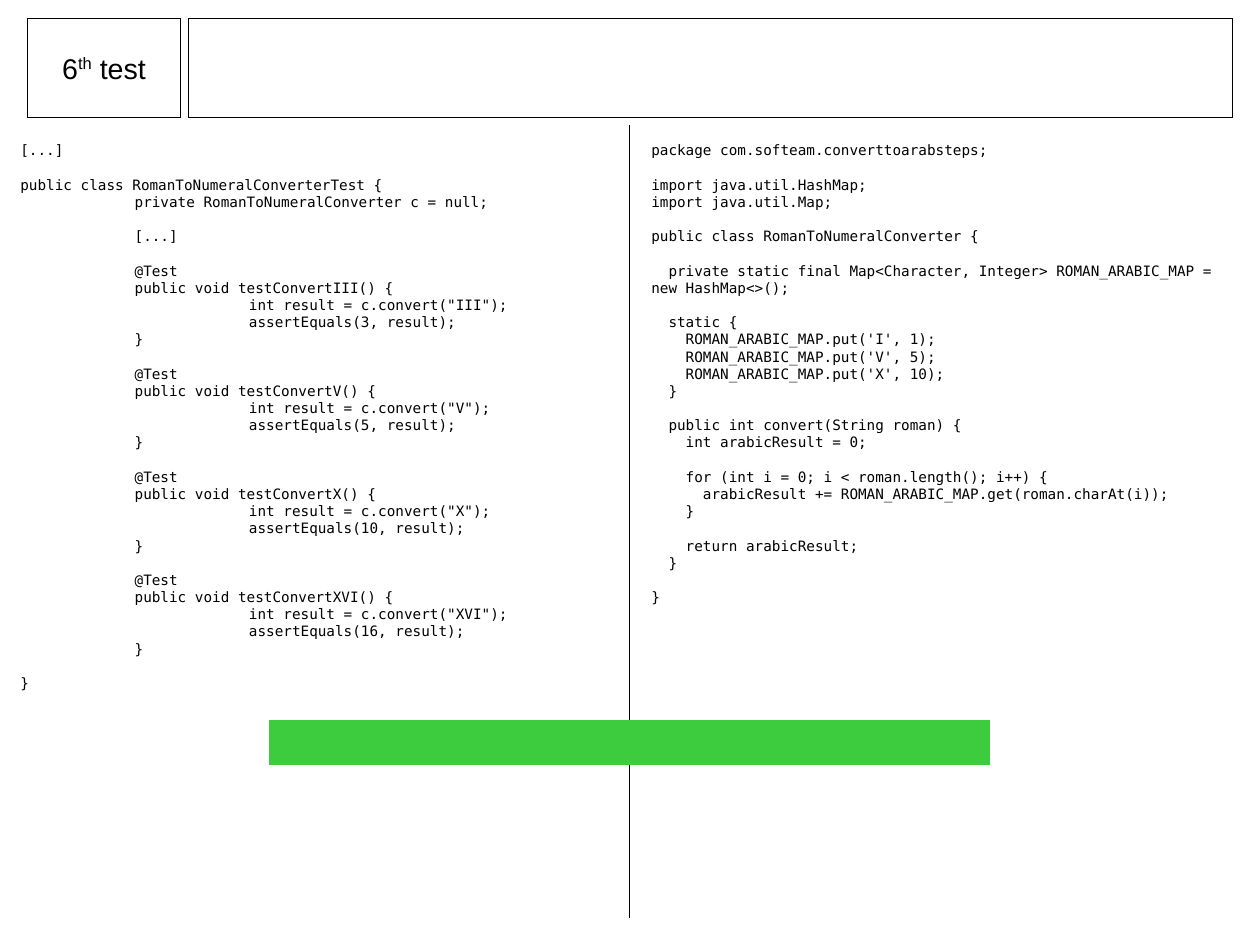
from lxml import etree
from pptx import Presentation
from pptx.dml.color import RGBColor
from pptx.enum.shapes import MSO_CONNECTOR, MSO_SHAPE
from pptx.enum.text import MSO_ANCHOR, MSO_AUTO_SIZE, PP_ALIGN
from pptx.oxml.ns import qn
from pptx.util import Inches, Pt

BLACK = RGBColor(0x00, 0x00, 0x00)
GREEN = RGBColor(0x3D, 0xCC, 0x3D)
STRAIGHT = MSO_CONNECTOR.STRAIGHT
RECTANGLE = MSO_SHAPE.RECTANGLE
MIDDLE = MSO_ANCHOR.MIDDLE
NO_AUTOFIT = MSO_AUTO_SIZE.NONE
CENTER = PP_ALIGN.CENTER
TITLE_FORMAT = {"name": "Arial", "size": Pt(18)}
CODE_FORMAT = {"name": "DejaVu Sans Mono", "size": Pt(9)}
CODE_LINE = Pt(10.8)
CM_PER_INCH = 2.54
HEADER_TOP = 0.16
HEADER_HEIGHT = 0.87

TEST_CASES = [("III", 3), ("V", 5), ("X", 10), ("XVI", 16)]
TEST_METHOD = """\t@Test
\tpublic void testConvert{numeral}() {{
\t\tint result = c.convert("{numeral}");
\t\tassertEquals({value}, result);
\t}}"""
TEST_CODE = "\n\n".join([
    "[...]",
    "public class RomanToNumeralConverterTest {\n"
    "\tprivate RomanToNumeralConverter c = null;",
    "\t[...]",
    *[TEST_METHOD.format(numeral=numeral, value=value) for numeral, value in TEST_CASES],
    "}",
])
CONVERTER_CODE = """package com.softeam.converttoarabsteps;

import java.util.HashMap;
import java.util.Map;

public class RomanToNumeralConverter {

  private static final Map<Character, Integer> ROMAN_ARABIC_MAP = new HashMap<>();

  static {
    ROMAN_ARABIC_MAP.put('I', 1);
    ROMAN_ARABIC_MAP.put('V', 5);
    ROMAN_ARABIC_MAP.put('X', 10);
  }

  public int convert(String roman) {
    int arabicResult = 0;

    for (int i = 0; i < roman.length(); i++) {
      arabicResult += ROMAN_ARABIC_MAP.get(roman.charAt(i));
    }

    return arabicResult;
  }

}"""


def add_span(para, text, format_values):
    span = para.add_run()
    span.text = text
    for name, value in format_values.items():
        setattr(span.font, name, value)
    span.font.color.rgb = BLACK
    return span


def outline(shape, color):
    shape.line.color.rgb = color
    shape._element.spPr.find(qn("a:ln")).set("w", "0")


deck = Presentation()
deck.slide_width = Inches(28 / CM_PER_INCH)
deck.slide_height = Inches(21 / CM_PER_INCH)
page = deck.slides.add_slide(deck.slide_layouts[5])

title = page.shapes.title
title.left, title.top = Inches(0.24), Inches(HEADER_TOP)
title.width, title.height = Inches(1.34), Inches(HEADER_HEIGHT)
outline(title, BLACK)
frame = title.text_frame
frame.auto_size = NO_AUTOFIT
frame.word_wrap = True
frame.vertical_anchor = MIDDLE
para = frame.paragraphs[0]
para.alignment = CENTER
add_span(para, "6", TITLE_FORMAT)
ordinal = add_span(para, "th", TITLE_FORMAT)
ordinal.font._element.set("baseline", "33000")
add_span(para, " test", TITLE_FORMAT)

divider = page.shapes.add_connector(
    STRAIGHT, Inches(5.51), Inches(1.1), Inches(5.51), Inches(8.03))
outline(divider, BLACK)
etree.SubElement(divider._element.spPr, qn("a:effectLst"))

for left, height, code in [(0.08, 6.27, TEST_CODE), (5.6, 4.21, CONVERTER_CODE)]:
    box = page.shapes.add_textbox(Inches(left), Inches(1.19), Inches(5.2), Inches(height))
    frame = box.text_frame
    frame.word_wrap = True
    para = frame.paragraphs[0]
    for block_index, block in enumerate(code.split("\n\n")):
        for line_index, line in enumerate(block.split("\n")):
            if block_index or line_index:
                para = frame.add_paragraph()
            if block_index and not line_index:
                para.space_before = CODE_LINE
            if "\t" in line:
                tabs = etree.SubElement(para._p.get_or_add_pPr(), qn("a:tabLst"))
                for stop in (1, 2):
                    etree.SubElement(tabs, qn("a:tab"), pos=str(Inches(stop)), algn="l")
            add_span(para, line, CODE_FORMAT)

header = page.shapes.add_shape(
    RECTANGLE, Inches(1.65), Inches(HEADER_TOP), Inches(9.13), Inches(HEADER_HEIGHT))
header.shadow.inherit = False
header.fill.background()
outline(header, BLACK)

passing_bar = page.shapes.add_shape(
    RECTANGLE, Inches(2.36), Inches(6.3), Inches(6.3), Inches(0.39))
passing_bar.shadow.inherit = False
passing_bar.fill.solid()
passing_bar.fill.fore_color.rgb = GREEN
outline(passing_bar, GREEN)

deck.save("out.pptx")
